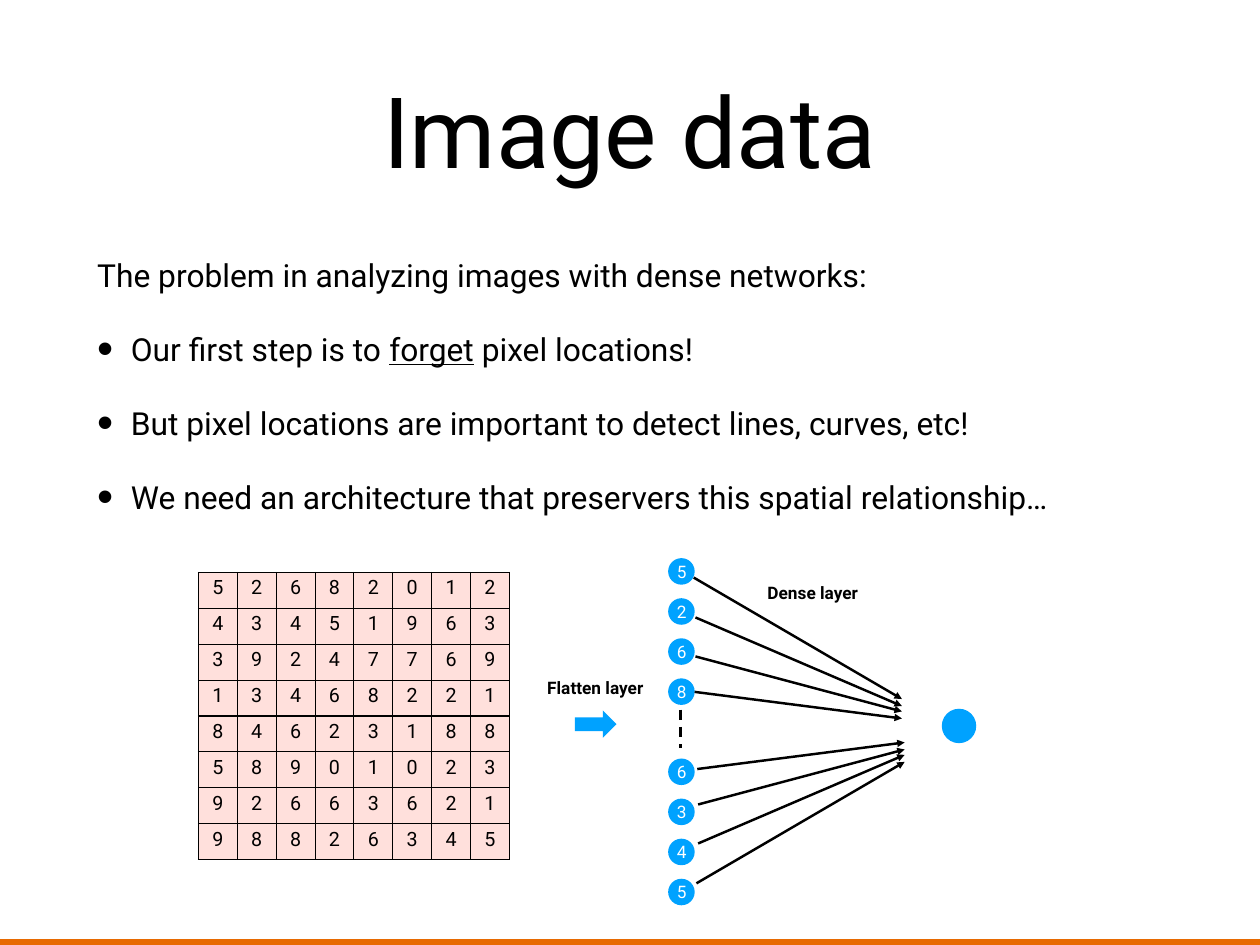
from lxml.etree import SubElement
from pptx import Presentation
from pptx.dml.color import RGBColor
from pptx.enum.dml import MSO_LINE
from pptx.enum.shapes import MSO_CONNECTOR, MSO_SHAPE
from pptx.enum.text import MSO_ANCHOR, MSO_AUTO_SIZE, PP_ALIGN
from pptx.oxml.ns import qn
from pptx.util import Pt

BLACK, WHITE, BLUE, PINK, ORANGE = "000000", "FFFFFF", "00A2FF", "FFE0DC", "E76A01"
BODY_LINES = [
    "The problem in analyzing images with dense networks:",
    "Our first step is to _forget_ pixel locations!",
    "But pixel locations are important to detect lines, curves, etc!",
    "We need an architecture that preservers this spatial relationship…",
]
PIXEL_ROWS = ["52682012", "43451963", "39247769", "13468221",
              "84623188", "58901023", "92663621", "98826345"]
NEURON_LEFT, NEURON_TOP, NEURON_STEP, NEURON_SIZE = 543, 453.6, 32.57, 21.6
ARROW_STARTS = [(563.8, 469.4), (565.2, 501.8), (565.2, 533.5), (564.5, 562.3)]
ARROW_END_TOPS = [568.1, 573.8, 578.2, 583.9]
ARROW_END_LEFT, MIRROR_SUM, MIRROR_SHIFT = 733, 1187.3, 2.2


def color(value):
    return RGBColor.from_string(value)


class SlideBuilder:
    """Draws styled elements on one slide, with lengths in points."""

    def __init__(self, slide, font="Roboto", inset=4):
        self.slide, self.font, self.inset = slide, font, inset

    def style_frame(self, text_frame, anchor=MSO_ANCHOR.MIDDLE, wrap=True):
        text_frame.margin_left = text_frame.margin_right = Pt(self.inset)
        text_frame.margin_top = text_frame.margin_bottom = Pt(self.inset)
        text_frame.auto_size = MSO_AUTO_SIZE.NONE
        text_frame.vertical_anchor = anchor
        text_frame.word_wrap = wrap

    def style_text(self, text_frame, size, fill=BLACK, bold=False, align=PP_ALIGN.CENTER):
        for paragraph in text_frame.paragraphs:
            paragraph.alignment = align
            for run in paragraph.runs:
                run.font.name, run.font.size, run.font.bold = self.font, Pt(size), bold
                run.font.color.rgb = color(fill)

    def place(self, shape, left, top, width, height):
        shape.left, shape.top = Pt(left), Pt(top)
        shape.width, shape.height = Pt(width), Pt(height)

    def title(self, text, box):
        shape = self.slide.shapes.title
        self.place(shape, *box)
        shape.text_frame.text = text
        self.style_frame(shape.text_frame)
        self.style_text(shape.text_frame, 80)

    def body(self, lines, box):
        shape = self.slide.placeholders[1]
        self.place(shape, *box)
        text_frame = shape.text_frame
        text_frame.text = "\n".join(lines)
        self.style_frame(text_frame, MSO_ANCHOR.TOP)
        for index, paragraph in enumerate(text_frame.paragraphs):
            pieces = paragraph.text.split("_")
            paragraph.text = pieces[0]
            for position, piece in enumerate(pieces[1:], 1):
                run = paragraph.add_run()
                run.text = piece
                run.font.underline = position % 2 == 1
            paragraph.space_before = Pt(29)
            self.bullet(paragraph, index > 0)
        self.style_text(text_frame, 25.8, align=PP_ALIGN.LEFT)

    def bullet(self, paragraph, shown):
        properties = paragraph._p.get_or_add_pPr()
        indent = Pt(27.4) if shown else 0
        properties.set("marL", str(indent))
        properties.set("indent", str(-indent))
        if shown:
            SubElement(properties, qn("a:buSzPct"), val="145000")
            SubElement(properties, qn("a:buChar"), char="•")
        else:
            SubElement(properties, qn("a:buNone"))

    def shape(self, kind, box, fill, text=""):
        shape = self.slide.shapes.add_shape(kind, *map(Pt, box))
        shape.shadow.inherit = False
        shape.fill.solid()
        shape.fill.fore_color.rgb = color(fill)
        shape.line.fill.background()
        if text:
            shape.text_frame.text = text
            self.style_frame(shape.text_frame)
            self.style_text(shape.text_frame, 14, WHITE)

    def label(self, text, box):
        text_frame = self.slide.shapes.add_textbox(*map(Pt, box)).text_frame
        text_frame.text = text
        self.style_frame(text_frame, wrap=False)
        self.style_text(text_frame, 14, bold=True)

    def line(self, start, end, arrow=False):
        connector = self.slide.shapes.add_connector(
            MSO_CONNECTOR.STRAIGHT, *map(Pt, (*start, *end)))
        connector.line.width = Pt(2)
        connector.line.color.rgb = color(BLACK)
        if arrow:
            SubElement(connector.line._get_or_add_ln(), qn("a:tailEnd"), type="triangle")
        else:
            connector.line.dash_style = MSO_LINE.DASH
        SubElement(connector._element.spPr, qn("a:effectLst"))

    def table(self, rows, left, top, column_width, row_height):
        table = self.slide.shapes.add_table(
            len(rows), len(rows[0]), Pt(left), Pt(top),
            Pt(column_width * len(rows[0])), Pt(row_height * len(rows))).table
        table.first_row = table.horz_banding = False
        for column in table.columns:
            column.width = Pt(column_width)
        for row, values in zip(table.rows, rows):
            row.height = Pt(row_height)
            for cell, value in zip(row.cells, values):
                cell.text_frame.text = value
                self.style_text(cell.text_frame, 16)
                self.borders(cell)
                cell.fill.solid()
                cell.fill.fore_color.rgb = color(PINK)

    def borders(self, cell):
        properties = cell._tc.get_or_add_tcPr()
        for side in ("lnL", "lnR", "lnT", "lnB"):
            border = SubElement(properties, qn(f"a:{side}"), w=str(Pt(1)))
            SubElement(SubElement(border, qn("a:solidFill")), qn("a:srgbClr"), val=BLACK)


def main():
    presentation = Presentation()
    presentation.slide_width, presentation.slide_height = Pt(1024), Pt(768)
    slide = presentation.slides.add_slide(presentation.slide_layouts[1])
    builder = SlideBuilder(slide)

    builder.shape(MSO_SHAPE.RECTANGLE, (0, 763.2, 1024, 4.8), ORANGE)
    builder.body(BODY_LINES, (75, 204, 874, 495))
    builder.title("Image data", (75, 20, 874, 170))

    builder.shape(MSO_SHAPE.RIGHT_ARROW, (467.3, 577.4, 33.8, 22.3), BLUE)
    builder.label("Flatten layer", (438.5, 546.5, 90.7, 25.2))

    for index, value in enumerate("5268 6345"):
        if value != " ":
            top = NEURON_TOP + index * NEURON_STEP
            builder.shape(MSO_SHAPE.OVAL, (NEURON_LEFT, top, NEURON_SIZE, NEURON_SIZE),
                          BLUE, value)
    builder.line((553, 576.7), (553, 607.7))
    builder.shape(MSO_SHAPE.OVAL, (765.4, 576, 28, 28), BLUE)

    for (left, top), end_top in zip(ARROW_STARTS, ARROW_END_TOPS):
        builder.line((left, top), (ARROW_END_LEFT, end_top), arrow=True)
        builder.line((left + MIRROR_SHIFT, MIRROR_SUM - top),
                     (ARROW_END_LEFT + MIRROR_SHIFT, MIRROR_SUM - end_top), arrow=True)
    builder.label("Dense layer", (617, 469.4, 87.1, 25.2))

    builder.table(PIXEL_ROWS, 161.3, 465.1, 31.6, 29.2)
    presentation.save("out.pptx")


if __name__ == "__main__":
    main()
